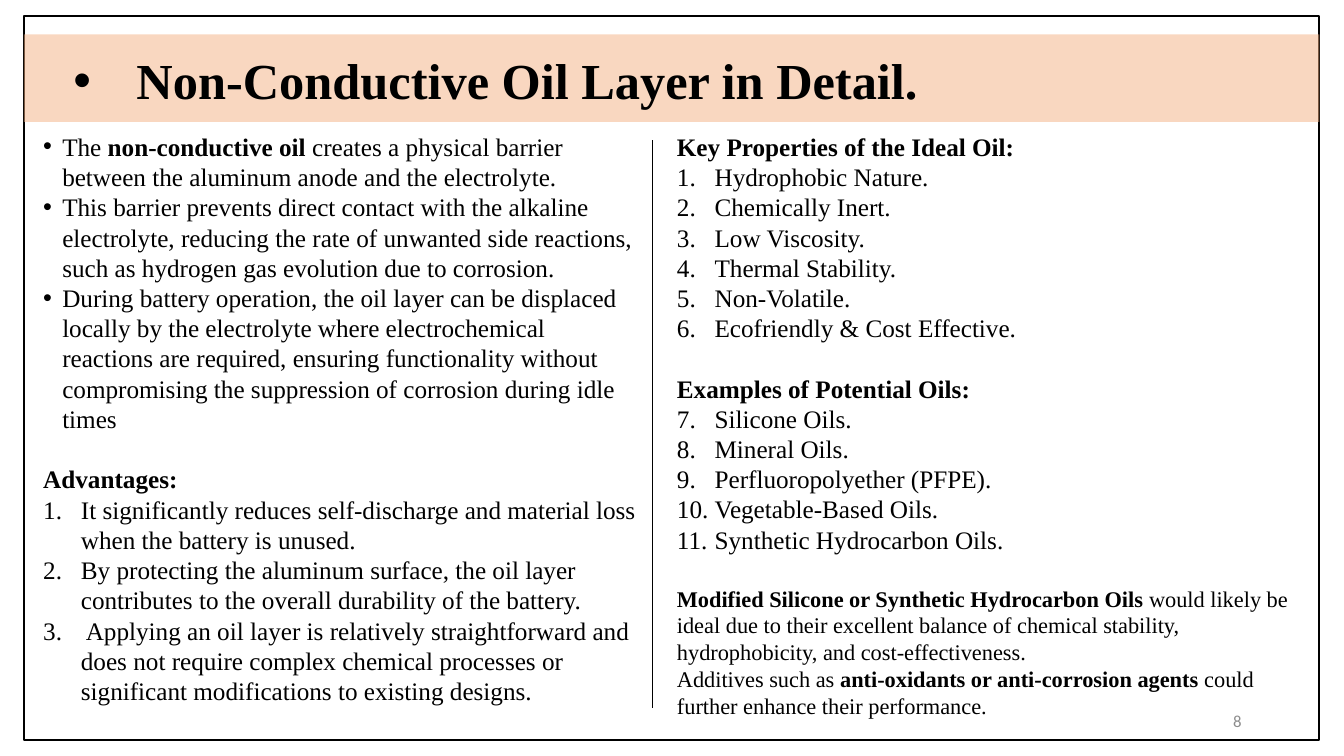
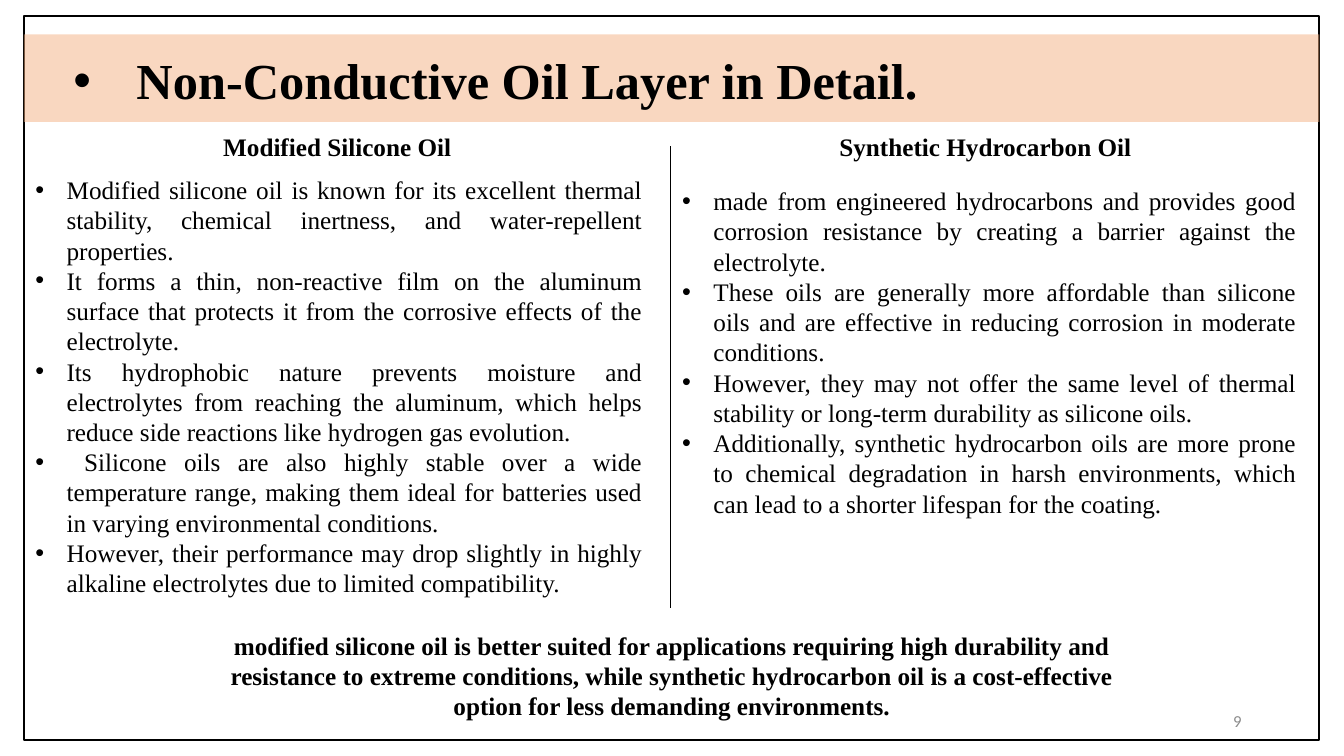
from lxml import etree
from pptx import Presentation
from pptx import util as u
from pptx.dml import color
from pptx.enum import shapes, text
from pptx.oxml import ns

COLOURS = {"ink": "000000", "band": "F4B183", "number": "8C8C8C"}
SERIF = "Times New Roman"
FIRST_NUMBER = 8

BODY = {"size": u.Pt(18), "name": SERIF, "bold": False}
HEADING = {**BODY, "bold": True}
SMALL = {**BODY, "size": u.Pt(16)}
TITLE = {**HEADING, "size": u.Pt(36)}
NUMBER = {"size": u.Pt(12), "name": "Calibri"}

CENTRED = {"alignment": text.PP_ALIGN.CENTER}
JUSTIFIED = {"alignment": text.PP_ALIGN.JUSTIFY}
AFTER_GAP = {"space_before": u.Pt(21.6)}

COLUMN_TOP = 3.18

OIL_BARRIER = [
    "The **non-conductive oil** creates a physical barrier between the aluminum anode and the electrolyte.",
    "This barrier prevents direct contact with the alkaline electrolyte, reducing the rate of unwanted "
    "side reactions, such as hydrogen gas evolution due to corrosion.",
    "During battery operation, the oil layer can be displaced locally by the electrolyte where "
    "electrochemical reactions are required, ensuring functionality without compromising the "
    "suppression of corrosion during idle times",
]
ADVANTAGES = [
    "It significantly reduces self-discharge and material loss when the battery is unused.",
    "By protecting the aluminum surface, the oil layer contributes to the overall durability of the battery.",
    " Applying an oil layer is relatively straightforward and does not require complex chemical "
    "processes or significant modifications to existing designs.",
]
PROPERTIES = ["Hydrophobic Nature.", "Chemically Inert.", "Low Viscosity.", "Thermal Stability.",
              "Non-Volatile.", "Ecofriendly & Cost Effective."]
EXAMPLES = ["Silicone Oils.", "Mineral Oils.", "Perfluoropolyether (PFPE).",
            "Vegetable-Based Oils.", "Synthetic Hydrocarbon Oils."]
RECOMMENDATION = [
    "**Modified Silicone or Synthetic Hydrocarbon Oils **would likely be ideal due to their excellent "
    "balance of chemical stability, hydrophobicity, and cost-effectiveness.",
    "Additives such as** anti-oxidants or anti-corrosion agents **could further enhance their performance.",
]
SILICONE = [
    "Modified silicone oil is known for its excellent thermal stability, chemical inertness, and "
    "water-repellent properties.",
    "It forms a thin, non-reactive film on the aluminum surface that protects it from the corrosive "
    "effects of the electrolyte.",
    "Its hydrophobic nature prevents moisture and electrolytes from reaching the aluminum, which helps "
    "reduce side reactions like hydrogen gas evolution.",
    " Silicone oils are also highly stable over a wide temperature range, making them ideal for "
    "batteries used in varying environmental conditions.",
    "However, their performance may drop slightly in highly alkaline electrolytes due to limited compatibility.",
]
HYDROCARBON = [
    "made from engineered hydrocarbons and provides good corrosion resistance by creating a barrier "
    "against the electrolyte.",
    "These oils are generally more affordable than silicone oils and are effective in reducing "
    "corrosion in moderate conditions. ",
    "However, they may not offer the same level of thermal stability or long-term durability as silicone oils.",
    "Additionally, synthetic hydrocarbon oils are more prone to chemical degradation in harsh "
    "environments, which can lead to a shorter lifespan for the coating.",
]
CONCLUSION = ("modified silicone oil is better suited for applications requiring high durability and "
              "resistance to extreme conditions, while synthetic hydrocarbon oil is a cost-effective "
              "option for less demanding environments.")


def rgb(name):
    return color.RGBColor.from_string(COLOURS[name])


def lengths(box):
    return [u.Cm(value) for value in box]


def apply(target, values):
    for name, value in values.items():
        setattr(target, name, value)


def set_font(font, style, colour="ink"):
    apply(font, style)
    font.color.rgb = rgb(colour)


def set_bullet(paragraph, indent, start=None):
    """Hang the paragraph by indent cm: numbered from start, else with a dot."""
    properties = paragraph._p.get_or_add_pPr()
    properties.set("marL", str(u.Cm(indent)))
    properties.set("indent", str(-u.Cm(indent)))
    etree.SubElement(properties, ns.qn("a:buFont"), typeface=SERIF if start else "Arial")
    if start:
        number = etree.SubElement(properties, ns.qn("a:buAutoNum"), type="arabicPeriod")
        if start > 1:
            number.set("startAt", str(start))
    else:
        etree.SubElement(properties, ns.qn("a:buChar"), char="•")


def add_text_box(slide, box, anchor=text.MSO_ANCHOR.TOP):
    frame = slide.shapes.add_textbox(*lengths(box)).text_frame
    apply(frame, {"word_wrap": True, "vertical_anchor": anchor})
    return frame


def add_paragraphs(frame, lines, style=BODY, layout=None, indent=None, start=None):
    """Append lines; text between ** marks is bold."""
    for line in lines:
        first = frame.paragraphs[0]
        paragraph = frame.add_paragraph() if first.runs else first
        apply(paragraph, layout or {})
        if indent:
            set_bullet(paragraph, indent, start)
        for index, part in enumerate(line.split("**")):
            if part:
                run = paragraph.add_run()
                run.text = part
                set_font(run.font, {**style, "bold": True} if index % 2 else style)


def add_rectangle(slide, box):
    rectangle = slide.shapes.add_shape(shapes.MSO_SHAPE.RECTANGLE, *lengths(box))
    rectangle.shadow.inherit = False
    return rectangle


def add_divider(slide, x, top, bottom):
    divider = slide.shapes.add_connector(shapes.MSO_CONNECTOR.STRAIGHT, *lengths((x, top, x, bottom)))
    divider.line.width = u.Pt(0.5)
    divider.line.color.rgb = rgb("ink")
    etree.SubElement(divider._element.spPr, ns.qn("a:effectLst"))


def add_slide_number(slide, box, number):
    paragraph = add_text_box(slide, box, text.MSO_ANCHOR.MIDDLE).paragraphs[0]
    paragraph.alignment = text.PP_ALIGN.RIGHT
    run = paragraph.add_run()
    run.text = str(number)
    set_font(run.font, NUMBER, "number")
    field = run._r
    field.tag = ns.qn("a:fld")
    field.set("id", "{B6F15528-21DE-4FAA-801E-634DDDAF4B2B}")
    field.set("type", "slidenum")


def add_title_band(slide, box, title):
    left, top, width, height = box
    band = add_rectangle(slide, box)
    band.fill.solid()
    band.fill.fore_color.rgb = rgb("band")
    band.line.fill.background()
    fill = band._element.spPr.find(ns.qn("a:solidFill"))
    etree.SubElement(fill[0], ns.qn("a:alpha"), val="50000")
    frame = add_text_box(slide, (left + 1, top + 0.73, 22.3, 1.3), text.MSO_ANCHOR.BOTTOM)
    add_paragraphs(frame, [title], TITLE, {**JUSTIFIED, "line_spacing": 0.9}, 1.59)


def add_base_slide(presentation, number):
    slide = presentation.slides.add_slide(presentation.slide_layouts[6])
    add_slide_number(slide, (23.92, 17.66, 7.62, 1.01), number)
    border = add_rectangle(slide, (0.6, 0.4, 32.65, 18.25))
    border.fill.background()
    border.line.width = u.Pt(1.5)
    border.line.color.rgb = rgb("ink")
    add_title_band(slide, (0.6, 0.87, 32.65, 2.2), "Non-Conductive Oil Layer in Detail.")
    return slide


def add_barrier_column(slide, box):
    frame = add_text_box(slide, box)
    add_paragraphs(frame, OIL_BARRIER, indent=0.48)
    add_paragraphs(frame, ["Advantages:"], HEADING, AFTER_GAP)
    add_paragraphs(frame, ADVANTAGES, indent=0.95, start=1)


def add_oil_choice_column(slide, box):
    left, top, width, height = box
    start = 1
    for offset, heading, items in ((0, "Key Properties of the Ideal Oil:", PROPERTIES),
                                   (6.09, "Examples of Potential Oils:", EXAMPLES)):
        frame = add_text_box(slide, (left, top + offset, width, 5.6))
        add_paragraphs(frame, [heading], HEADING)
        add_paragraphs(frame, items, indent=0.95, start=start)
        start += len(items)
    frame = add_text_box(slide, (left, top + 11.43, width, height - 11.43))
    add_paragraphs(frame, RECOMMENDATION, SMALL)


def add_oil_column(slide, heading_box, heading, list_box, items):
    add_paragraphs(add_text_box(slide, heading_box), [heading], HEADING, CENTRED)
    add_paragraphs(add_text_box(slide, list_box), items, BODY, JUSTIFIED, 0.79)


def build_overview(presentation, number):
    slide = add_base_slide(presentation, number)
    add_barrier_column(slide, (0.84, COLUMN_TOP, 15.6, 15.4))
    add_oil_choice_column(slide, (16.81, COLUMN_TOP, 16.05, 15.4))
    add_divider(slide, 16.43, 3.53, 17.85)


def build_comparison(presentation, number):
    slide = add_base_slide(presentation, number)
    add_oil_column(slide, (0.6, COLUMN_TOP, 15.8, 1.02), "Modified Silicone Oil",
                   (0.64, 4.27, 15.8, 11.02), SILICONE)
    add_oil_column(slide, (16.43, COLUMN_TOP, 16.81, 1.02), "Synthetic Hydrocarbon Oil",
                   (16.94, 4.55, 15.98, 8.71), HYDROCARBON)
    add_divider(slide, 16.89, 3.68, 15.32)
    add_paragraphs(add_text_box(slide, (4.98, 15.75, 23.9, 2.57)), [CONCLUSION], HEADING, CENTRED)


def main():
    presentation = Presentation()
    apply(presentation, {"slide_width": u.Cm(33.87), "slide_height": u.Cm(19.05)})
    presentation.element.set("firstSlideNum", str(FIRST_NUMBER))
    for number, build in enumerate((build_overview, build_comparison), FIRST_NUMBER):
        build(presentation, number)
    presentation.save("out.pptx")


if __name__ == "__main__":
    main()
